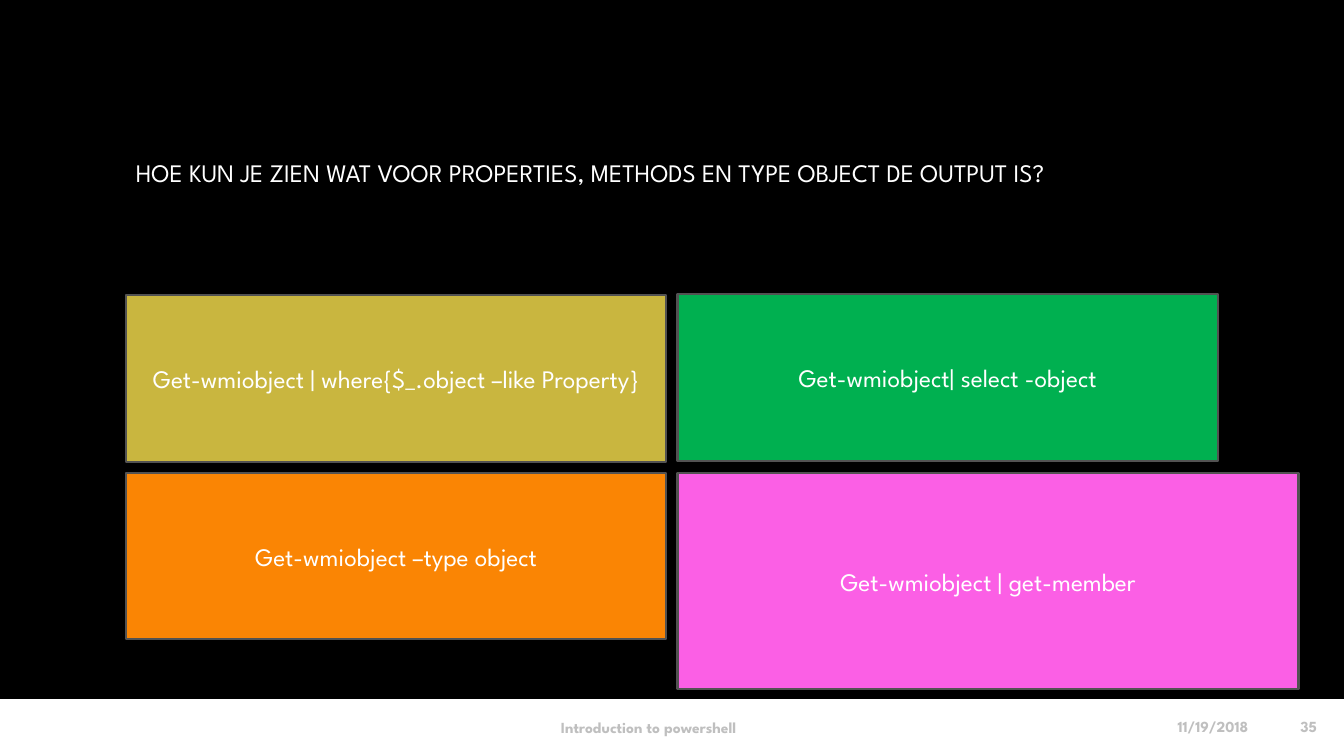
from pptx import Presentation
from pptx import util as u
from pptx.dml.color import RGBColor
from pptx.enum import shapes, text

FONT = "League Spartan"
LEFT, RIGHT = 1.25, 6.72
TOP, BOTTOM = 2.93, 4.69
WIDTH, HEIGHT = 5.36, 1.65
ANSWERS = [
    ("Get-wmiobject| select -object", RIGHT, TOP - 0.01, WIDTH, HEIGHT, "00B050"),
    ("Get-wmiobject | where{$_.object –like Property}", LEFT, TOP, WIDTH, HEIGHT, "C9B63F"),
    ("Get-wmiobject –type object", LEFT, BOTTOM, WIDTH, HEIGHT, "FA8504"),
    ("Get-wmiobject | get-member", RIGHT, BOTTOM, WIDTH + 0.8, HEIGHT + 0.5, "FB5FE5"),
]


def color(value):
    return RGBColor.from_string(value)


def inches(*values):
    return [u.Inches(v) for v in values]


def write(sp, words, size, font_color, align, bold=False):
    tf = sp.text_frame
    tf.word_wrap = True
    tf.vertical_anchor = text.MSO_ANCHOR.MIDDLE
    tf.text = words
    p = tf.paragraphs[0]
    p.alignment = align
    r = p.runs[0]
    r.font.name = FONT
    r.font.size = u.Pt(size)
    r.font.bold = bold
    r.font.color.rgb = color(font_color)


def add_box(s, x, y, w, h, fill, line):
    sp = s.shapes.add_shape(shapes.MSO_SHAPE.RECTANGLE, *inches(x, y, w, h))
    sp.shadow.inherit = False
    sp.fill.solid()
    sp.fill.fore_color.rgb = color(fill)
    sp.line.color.rgb = color(line)
    sp.line.width = u.Pt(1.5)
    return sp


def add_answer(s, words, x, y, w, h, fill):
    sp = add_box(s, x, y, w, h, fill, "525252")
    write(sp, words, 18, "FFFFFF", text.PP_ALIGN.CENTER)


def add_text(s, words, x, y, w, h, size, font_color, align, bold=False):
    sp = s.shapes.add_textbox(*inches(x, y, w, h))
    write(sp, words, size, font_color, align, bold)


def add_footer(s, words, x, y, w, align):
    add_text(s, words, x, y, w, 0.4, 11, "BFBFBF", align, True)


def main():
    prs = Presentation()
    prs.slide_width, prs.slide_height = inches(13.33, 7.5)
    s = prs.slides.add_slide(prs.slide_layouts[6])
    s.background.fill.solid()
    s.background.fill.fore_color.rgb = color("000000")

    add_box(s, 0, 6.94, 13.33, 0.55, "FFFFFF", "FFFFFF")
    add_text(s, "HOE KUN JE ZIEN WAT VOOR PROPERTIES, METHODS EN TYPE OBJECT DE OUTPUT IS?",
             LEFT, 0.67, 10.83, 2.08, 18, "FFFFFF", text.PP_ALIGN.LEFT)
    for answer in ANSWERS:
        add_answer(s, *answer)

    add_footer(s, "Introduction to powershell", 2.31, 7.02, 8.25, text.PP_ALIGN.CENTER)
    add_footer(s, "11/19/2018", 10.73, 7.01, 1.75, text.PP_ALIGN.RIGHT)
    add_footer(s, "35", 12.56, 7.01, 0.6, text.PP_ALIGN.RIGHT)
    prs.save("out.pptx")


if __name__ == "__main__":
    main()
